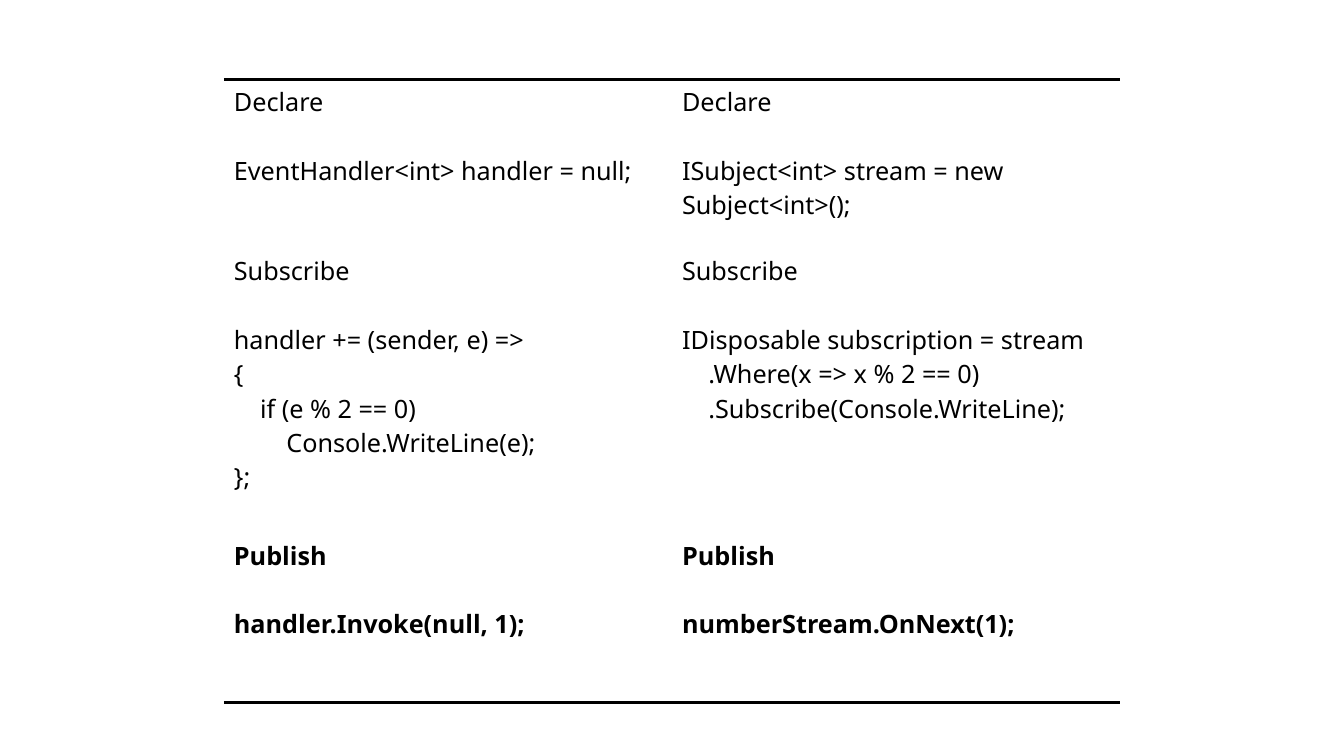
"""Build a slide comparing event handlers with reactive streams."""
from lxml.etree import SubElement
from pptx import Presentation
from pptx.dml.color import RGBColor
from pptx.oxml.ns import qn
from pptx.util import Inches, Pt

COLORS = {"text": "000000", "rule": "000000", "cell": "FFFFFF"}
FONT = "Noto Sans"
INDENT = 0.26
ROW_HEIGHTS = [1.68, 2.82, 1.68]

STEPS = [
    ("Declare",
     [(0, "EventHandler<int> handler = null;")],
     [(0, "ISubject<int> stream = new Subject<int>();")]),
    ("Subscribe",
     [(0, "handler += (sender, e) =>"),
      (0, "{"),
      (1, "if (e % 2 == 0)"),
      (2, "Console.WriteLine(e);"),
      (0, "};")],
     [(0, "IDisposable subscription = stream"),
      (1, ".Where(x => x % 2 == 0)"),
      (1, ".Subscribe(Console.WriteLine);")]),
    ("Publish",
     [(0, "handler.Invoke(null, 1);")],
     [(0, "numberStream.OnNext(1);")]),
]


def add_borders(cell, ruled_sides):
    """Draw the ruled sides of a cell and clear the others."""
    properties = cell._tc.get_or_add_tcPr()
    for side in ("lnL", "lnR", "lnT", "lnB"):
        border = SubElement(properties, qn("a:" + side))
        if side in ruled_sides:
            border.set("w", str(Pt(2)))
            paint = SubElement(border, qn("a:solidFill"))
            SubElement(paint, qn("a:srgbClr")).set("val", COLORS["rule"])
        else:
            border.set("w", "0")
            SubElement(border, qn("a:noFill"))


def add_line(paragraph, text, bold):
    """Add one run of text to a paragraph."""
    run = paragraph.add_run()
    run.text = text
    run.font.name = FONT
    run.font.size = Pt(18)
    run.font.bold = bold
    run.font.color.rgb = RGBColor.from_string(COLORS["text"])


prs = Presentation()
prs.slide_width = Inches(13.33)
prs.slide_height = Inches(7.5)
slide = prs.slides.add_slide(prs.slide_layouts[6])

comparison = slide.shapes.add_table(
    len(STEPS), 2, Inches(2.22), Inches(0.79),
    Inches(8.89), Inches(sum(ROW_HEIGHTS))).table
comparison.first_row = False
comparison.horz_banding = False
for column in comparison.columns:
    column.width = Inches(4.445)

last_step = len(STEPS) - 1
for step, (heading, *snippets) in enumerate(STEPS):
    comparison.rows[step].height = Inches(ROW_HEIGHTS[step])
    ruled_sides = {0: ["lnT"], last_step: ["lnB"]}.get(step, [])
    bold = step == last_step
    for side, snippet in enumerate(snippets):
        cell = comparison.cell(step, side)
        add_borders(cell, ruled_sides)
        cell.fill.solid()
        cell.fill.fore_color.rgb = RGBColor.from_string(COLORS["cell"])
        title = cell.text_frame.paragraphs[0]
        title.space_after = Pt(24.5)
        add_line(title, heading, bold)
        for level, code in snippet:
            code_line = cell.text_frame.add_paragraph()
            code_line._p.get_or_add_pPr().set("marL", str(Inches(INDENT * level)))
            add_line(code_line, code, bold)

prs.save("out.pptx")
